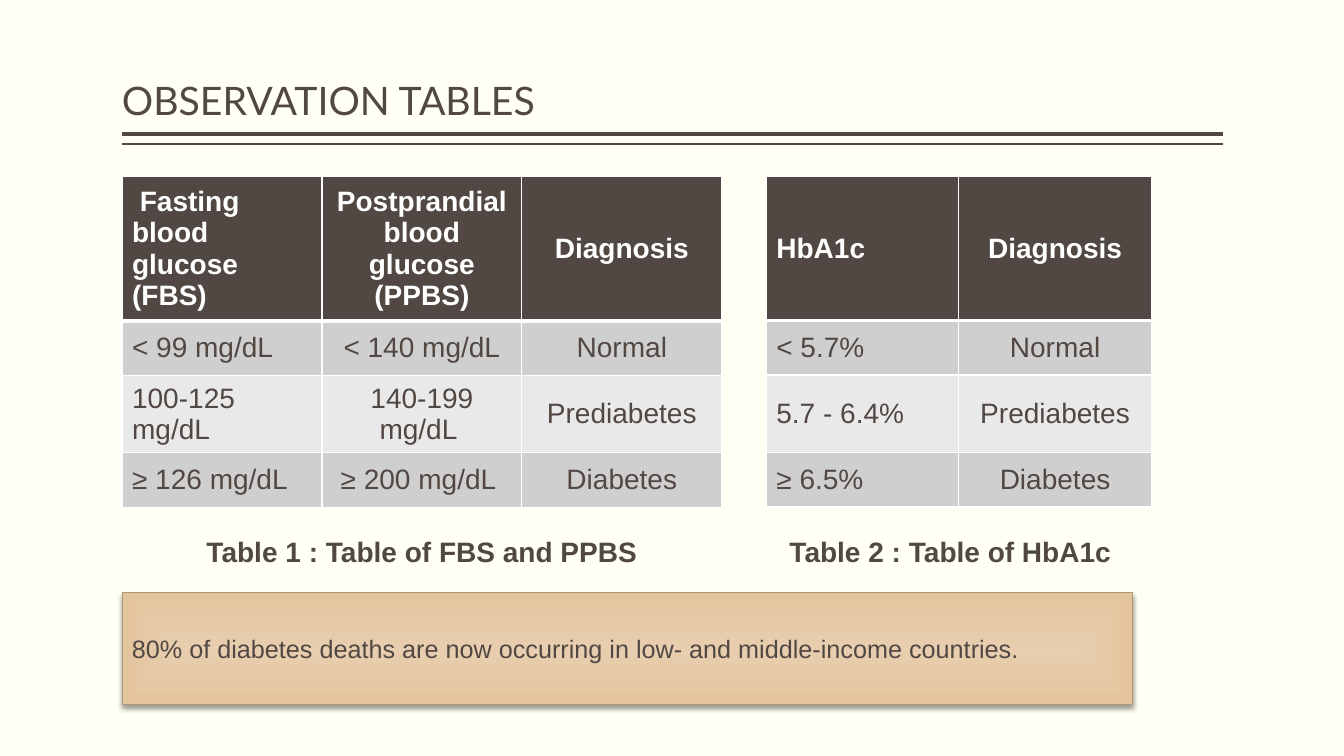
import pptx
import pptx.util
import pptx.dml.color
import pptx.enum.shapes
import pptx.enum.text
import pptx.oxml
import pptx.oxml.ns

Inches = pptx.util.Inches
Pt = pptx.util.Pt
ALIGN = pptx.enum.text.PP_ALIGN
ANCHOR = pptx.enum.text.MSO_ANCHOR
NAMESPACE = pptx.oxml.ns.nsdecls("a")

# Content
TITLE = "OBSERVATION TABLES"
TABLES = [
    {
        "left": 1.21, "width": 5.95, "heights": [1.33, 0.54, 0.73, 0.54],
        "rows": [
            (" Fasting blood glucose (FBS)", "Postprandial blood glucose (PPBS)", "Diagnosis"),
            ("< 99 mg/dL", "< 140 mg/dL", "Normal"),
            ("100-125 mg/dL", "140-199 mg/dL ", "Prediabetes"),
            ("≥ 126 mg/dL", "≥ 200 mg/dL ", "Diabetes"),
        ],
    },
    {
        "left": 7.6, "width": 3.82, "heights": [1.43, 0.54, 0.77, 0.54],
        "rows": [
            ("HbA1c", "Diagnosis"),
            ("< 5.7%", "Normal"),
            ("5.7 - 6.4%", "Prediabetes"),
            ("≥ 6.5%", "Diabetes"),
        ],
    },
]
CAPTIONS = [
    ("Table 1 : Table of FBS and PPBS", (1.21, 5.3, 5.95, 0.38), ALIGN.CENTER),
    ("Table 2 : Table of HbA1c", (7.83, 5.3, 5.15, 0.38), ALIGN.LEFT),
]
FACT = "80% of diabetes deaths are now occurring in low- and middle-income countries."

# Look
COLORS = {
    "page": "FFFFF3", "dark": "514843", "white": "FFFFFF",
    "odd": "D0CFCF", "even": "E9E9E9",
    "fact_center": "E8CEAF", "fact_edge": "E4C49D", "fact_line": "AB977A",
}
LEFT, RIGHT, TABLE_TOP = 1.21, 12.13, 1.75
RULES = [(1.33, 3), (1.43, 1)]


def color(name):
    return pptx.dml.color.RGBColor.from_string(COLORS[name])


def write(frame, text, size=20, font="Arial", ink="dark", bold=False,
          align=ALIGN.LEFT, spacing=None):
    para = frame.paragraphs[0]
    para.alignment = align
    if spacing:
        para.line_spacing = spacing
    span = para.add_run()
    span.text = text
    span.font.size = Pt(size)
    span.font.name = font
    span.font.bold = bold
    span.font.color.rgb = color(ink)


def add_text(page, place, text, **style):
    frame = page.shapes.add_textbox(*map(Inches, place)).text_frame
    frame.word_wrap = True
    frame.vertical_anchor = ANCHOR.BOTTOM
    frame.margin_left = frame.margin_right = 0
    write(frame, text, **style)


def add_rule(page, top, weight):
    rule = page.shapes.add_connector(
        pptx.enum.shapes.MSO_CONNECTOR.STRAIGHT,
        Inches(RIGHT), Inches(top), Inches(LEFT), Inches(top))
    rule.line.color.rgb = color("dark")
    rule.line.width = Pt(weight)
    rule._element.spPr.append(pptx.oxml.parse_xml(f"<a:effectLst {NAMESPACE}/>"))


def set_borders(cell, row):
    weights = {"L": 1, "R": 1, "T": 3 if row == 1 else 1, "B": 3 if row == 0 else 1}
    properties = cell._tc.get_or_add_tcPr()
    for side, weight in weights.items():
        properties.append(pptx.oxml.parse_xml(
            f'<a:ln{side} {NAMESPACE} w="{Pt(weight)}"><a:solidFill>'
            f'<a:srgbClr val="{COLORS["white"]}"/></a:solidFill></a:ln{side}>'))


def add_observations(page, left, width, heights, rows):
    table = page.shapes.add_table(
        len(rows), len(rows[0]), Inches(left), Inches(TABLE_TOP),
        Inches(width), Inches(sum(heights))).table
    for row, (texts, height) in enumerate(zip(rows, heights)):
        table.rows[row].height = Inches(height)
        header = row == 0
        fill = "dark" if header else ("odd" if row % 2 else "even")
        for column, text in enumerate(texts):
            cell = table.cell(row, column)
            cell.vertical_anchor = ANCHOR.MIDDLE
            set_borders(cell, row)
            cell.fill.solid()
            cell.fill.fore_color.rgb = color(fill)
            write(cell.text_frame, text, bold=header,
                  ink="white" if header else "dark",
                  align=ALIGN.CENTER if column else ALIGN.LEFT)


def add_fact(page):
    box = page.shapes.add_shape(
        pptx.enum.shapes.MSO_SHAPE.RECTANGLE,
        Inches(LEFT), Inches(5.88), Inches(10.02), Inches(1.11))
    box.line.color.rgb = color("fact_line")
    box.line.width = Pt(0.5)
    # Gradient from the centre to the edges
    box.fill.gradient()
    for stop, position, name in zip(box.fill.gradient_stops, (0, 1), ("fact_center", "fact_edge")):
        stop.position = position
        stop.color.rgb = color(name)
    properties = box._element.spPr
    gradient = properties.find(pptx.oxml.ns.qn("a:gradFill"))
    gradient.replace(gradient.find(pptx.oxml.ns.qn("a:lin")), pptx.oxml.parse_xml(
        f'<a:path {NAMESPACE} path="rect">'
        '<a:fillToRect l="50000" t="50000" r="50000" b="50000"/></a:path>'))
    # Soft shadow below
    box.shadow.inherit = False
    properties.find(pptx.oxml.ns.qn("a:effectLst")).append(pptx.oxml.parse_xml(
        f'<a:outerShdw {NAMESPACE} blurRad="{Pt(3.5)}" dist="{Pt(2)}" dir="5400000" '
        'rotWithShape="0"><a:srgbClr val="000000"><a:alpha val="38000"/></a:srgbClr>'
        '</a:outerShdw>'))
    box.text_frame.word_wrap = True
    box.text_frame.vertical_anchor = ANCHOR.MIDDLE
    write(box.text_frame, FACT, size=18)


def main():
    deck = pptx.Presentation()
    deck.slide_width, deck.slide_height = Inches(13.33), Inches(7.5)
    page = deck.slides.add_slide(deck.slide_layouts[6])
    page.background.fill.solid()
    page.background.fill.fore_color.rgb = color("page")

    # Title and double rule
    for top, weight in RULES:
        add_rule(page, top, weight)
    add_text(page, (LEFT, 0.08, RIGHT - LEFT, 1.2), TITLE, size=28, font="Lato", spacing=0.9)

    # Tables with captions
    for text, place, align in CAPTIONS:
        add_text(page, place, text, bold=True, align=align, spacing=0.8)
    for observations in TABLES:
        add_observations(page, **observations)

    # Closing fact
    add_fact(page)
    deck.save("out.pptx")


if __name__ == "__main__":
    main()
